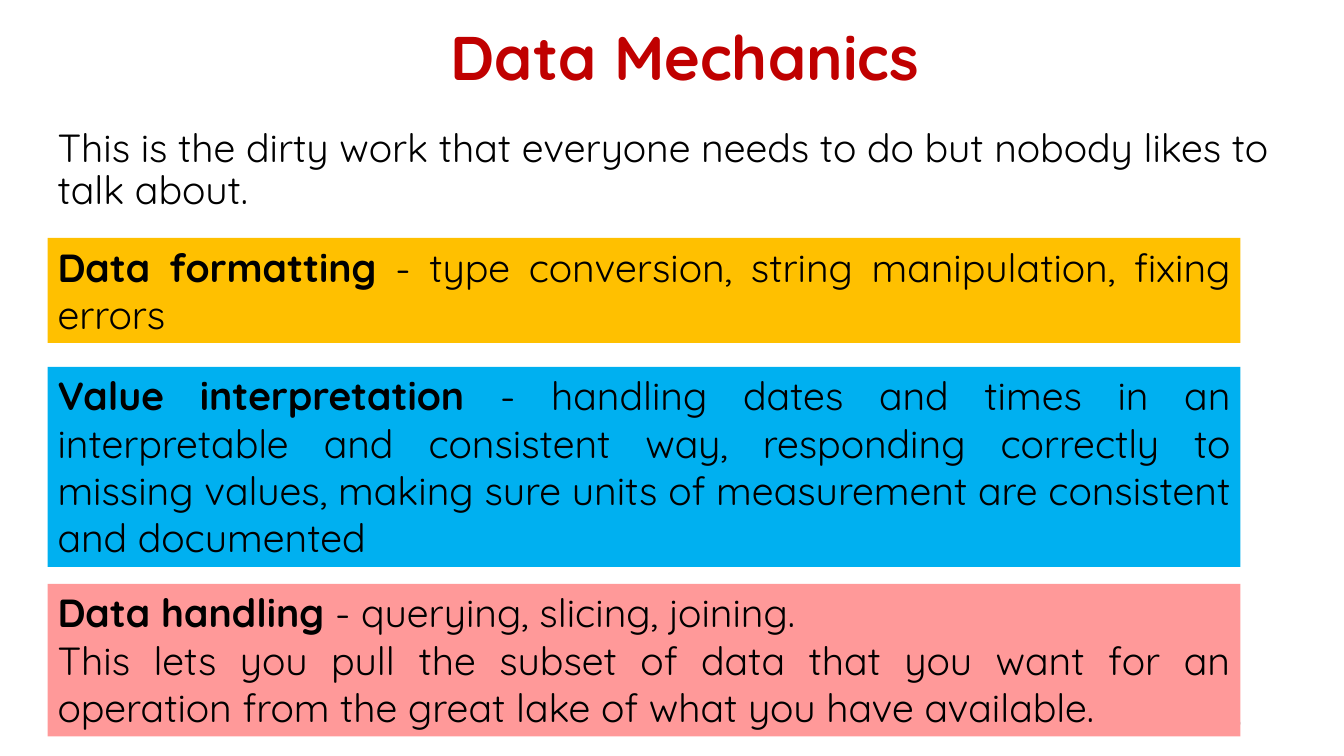
from dataclasses import dataclass
from typing import Optional

from pptx import Presentation
from pptx.dml.color import RGBColor as Rgb
from pptx.enum.shapes import MSO_SHAPE as Form
from pptx.enum.text import MSO_ANCHOR as Anchor, MSO_AUTO_SIZE as Fit, PP_ALIGN as Align
from pptx.util import Pt


@dataclass(frozen=True)
class Theme:
    font: str = "Quicksand"
    ink: str = "000000"
    red: str = "C00000"
    gray: str = "8C8C8C"
    gold: str = "FFC000"
    blue: str = "00B0F0"
    pink: str = "FF9999"
    head: int = 44
    body: int = 28
    note: int = 12


@dataclass(frozen=True)
class Run:
    text: str
    bold: bool = False
    size: int = Theme.body
    color: str = Theme.ink


@dataclass(frozen=True)
class Para:
    runs: tuple[Run, ...]
    align: Align = Align.LEFT
    line: Optional[float] = None


@dataclass(frozen=True)
class Box:
    left: float
    top: float
    width: float
    height: float
    paras: tuple[Para, ...]
    fill: Optional[str] = None
    anchor: Anchor = Anchor.TOP


LEFT, WIDTH = 34, 852
JUST = Align.JUSTIFY


def band(top: float, height: float, fill: str, *paras: Para) -> Box:
    """Describe one coloured band in the shared column."""
    return Box(LEFT, top, WIDTH, height, paras, fill)


BOXES = (
    # Page number, partly behind the last band
    Box(636, 500.5, 257.75, 29,
        (Para((Run("13", size=Theme.note, color=Theme.gray),), Align.RIGHT),),
        anchor=Anchor.MIDDLE),
    # Opening line
    Box(LEFT, 88, 885, 79,
        (Para((Run("This is the dirty work that everyone needs to do "
                   "but nobody likes to talk about."),), line=0.9),)),
    # Title
    Box(75.5, 0, 828, 80.5,
        (Para((Run("Data Mechanics", True, Theme.head, Theme.red),), Align.CENTER),),
        anchor=Anchor.MIDDLE),
    # Three kinds of work
    band(170, 75, Theme.gold,
         Para((Run("Data formatting ", True),
               Run("- type conversion, string manipulation, fixing errors")), JUST)),
    band(262, 143, Theme.blue,
         Para((Run("Value interpretation ", True),
               Run("- handling dates and times in an interpretable and consistent way, "
                   "responding correctly to missing values, making sure units of "
                   "measurement are consistent and documented")), JUST)),
    band(417, 109, Theme.pink,
         Para((Run("Data handling ", True), Run("- querying, slicing, joining."))),
         Para((Run("This lets you pull the subset of data that you want for an operation "
                   "from the great lake of what you have available."),), JUST)),
)


def draw(slide, box: Box) -> None:
    """Add a box to the slide, then its text run by run."""
    place = [Pt(n) for n in (box.left, box.top, box.width, box.height)]
    if box.fill:
        shape = slide.shapes.add_shape(Form.RECTANGLE, *place)
        shape.shadow.inherit = False
        shape.fill.solid()
        shape.fill.fore_color.rgb = Rgb.from_string(box.fill)
        shape.line.fill.background()
    else:
        shape = slide.shapes.add_textbox(*place)
    frame = shape.text_frame
    frame.word_wrap = True
    frame.auto_size = Fit.SHAPE_TO_FIT_TEXT if box.fill else Fit.NONE
    frame.vertical_anchor = box.anchor
    for i, para in enumerate(box.paras):
        line = frame.add_paragraph() if i else frame.paragraphs[0]
        line.alignment = para.align
        if para.line:
            line.line_spacing = para.line
        for part in para.runs:
            run = line.add_run()
            run.text = part.text
            run.font.name = Theme.font
            run.font.size = Pt(part.size)
            run.font.bold = part.bold
            run.font.color.rgb = Rgb.from_string(part.color)


def main() -> None:
    deck = Presentation()
    deck.slide_width, deck.slide_height = Pt(960), Pt(540)
    slide = deck.slides.add_slide(deck.slide_layouts[6])
    for box in BOXES:
        draw(slide, box)
    deck.save("out.pptx")


if __name__ == "__main__":
    main()
